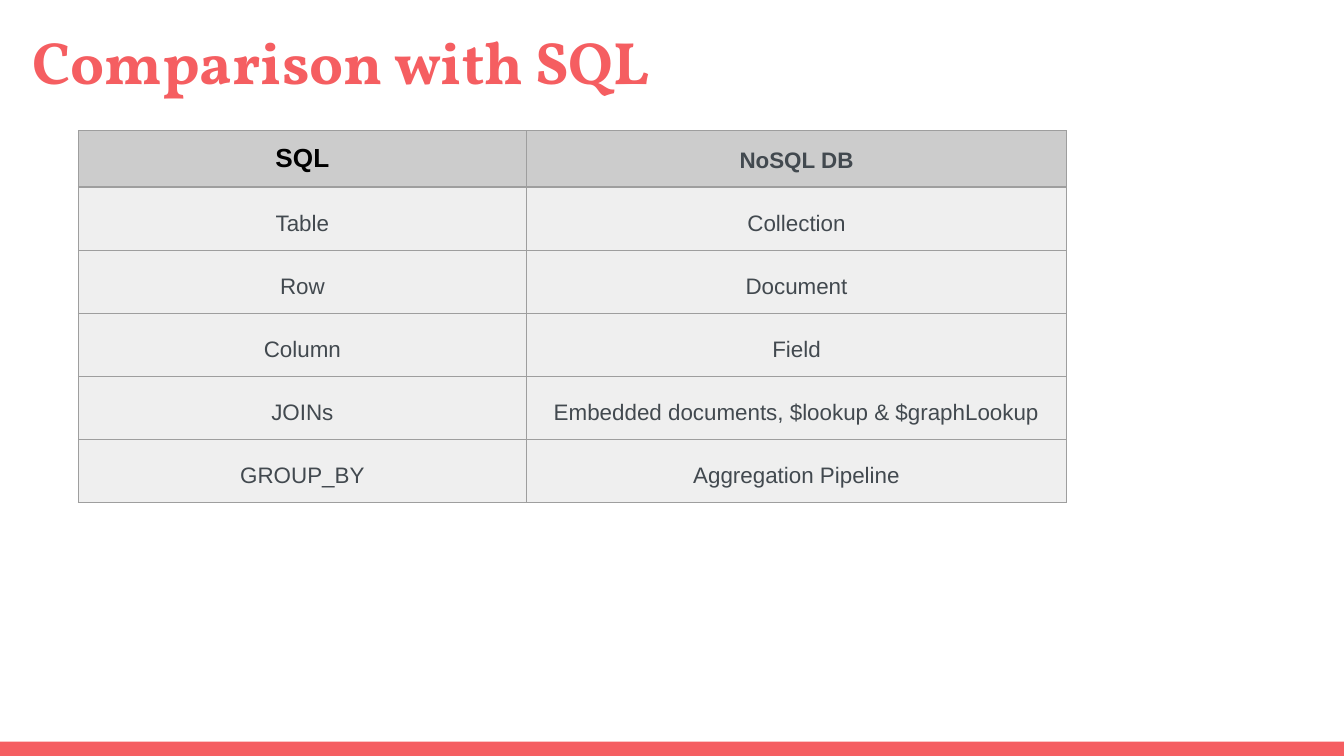
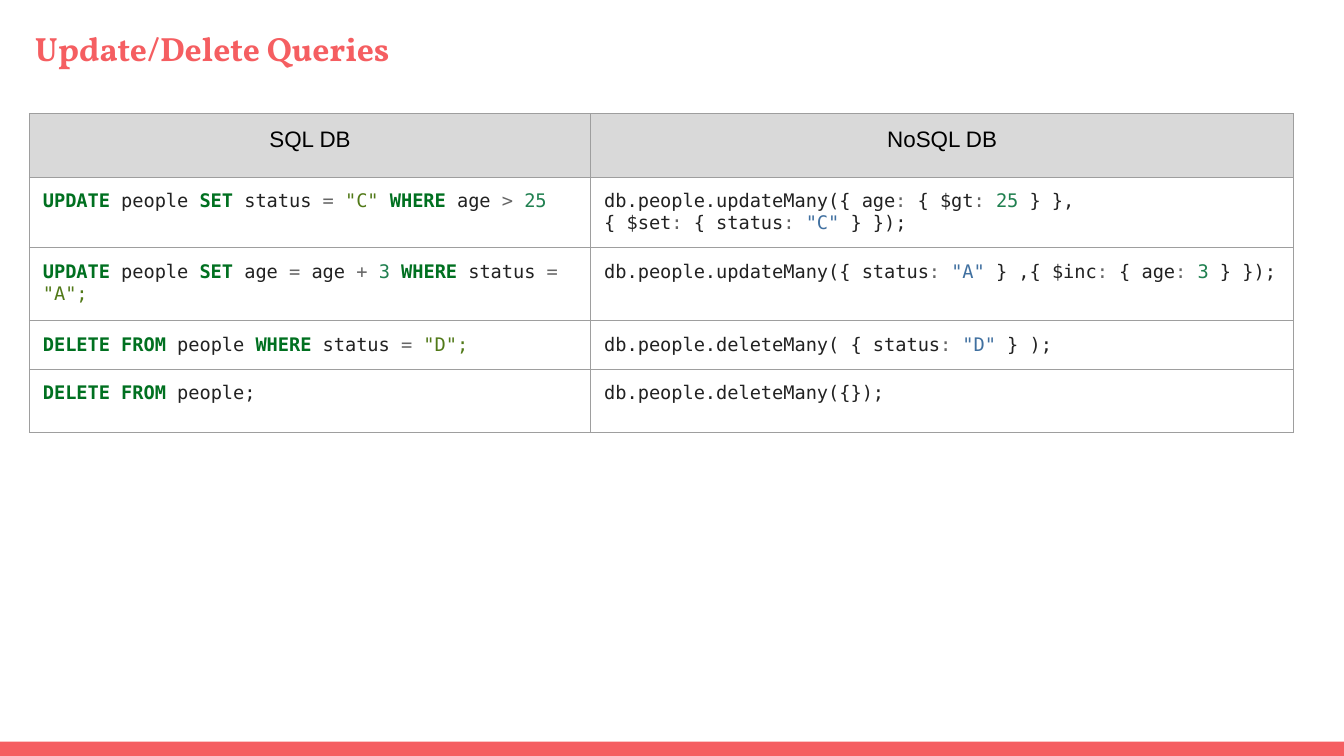
import itertools

import pptx
import pptx.dml.color
import pptx.enum.shapes
import pptx.enum.text
import pptx.oxml
import pptx.oxml.ns
import pptx.util

Pt = pptx.util.Pt
ALIGN = pptx.enum.text.PP_ALIGN
WIDTH, HEIGHT = 720, 405
INSET = 7.2
ACCENT = "F55E61"
GRID = "9E9E9E"
BLACK = "000000"
SLATE = "42494F"
CODE_COLOR = "222222"
KEYWORD_COLOR = "007020"
OPERATOR_COLOR = "666666"
NUMBER_COLOR = "208050"
SQL_STRING = "517918"
SHELL_STRING = "4070A0"
KEYWORDS = {"UPDATE", "SET", "WHERE", "DELETE", "FROM"}
OPERATORS = {"=", ">", "+", ":"}

TERMS = [
    ("Table", "Collection"),
    ("Row", "Document"),
    ("Column", "Field"),
    ("JOINs", "Embedded documents, $lookup & $graphLookup"),
    ("GROUP_BY", "Aggregation Pipeline"),
]

QUERIES = [
    ('UPDATE people SET status = "C" WHERE age > 25',
     'db.people.updateMany({ age: { $gt: 25 } },\n{ $set: { status: "C" } });'),
    ('UPDATE people SET age = age + 3 WHERE status = "A";',
     'db.people.updateMany({ status: "A" } ,{ $inc: { age: 3 } });'),
    ('DELETE FROM people WHERE status = "D";',
     'db.people.deleteMany( { status: "D" } );'),
    ("DELETE FROM people;", "db.people.deleteMany({});"),
]


def rgb(color):
    return pptx.dml.color.RGBColor.from_string(color)


def add_run(paragraph, text, font, size, color, bold=False):
    run = paragraph.add_run()
    run.text = text
    run.font.name = font
    run.font.size = Pt(size)
    run.font.bold = bold
    run.font.color.rgb = rgb(color)


def set_insets(frame):
    frame.margin_left = frame.margin_right = Pt(INSET)
    frame.margin_top = frame.margin_bottom = Pt(INSET)


def add_footer_band(slide, left, top, width, height):
    shape = slide.shapes.add_shape(
        pptx.enum.shapes.MSO_SHAPE.RECTANGLE, Pt(left), Pt(top), Pt(width), Pt(height))
    shape.shadow.inherit = False
    shape.fill.solid()
    shape.fill.fore_color.rgb = rgb(ACCENT)
    shape.line.fill.background()


def set_title(slide, text, left, top, size):
    title = slide.shapes.title
    title.left, title.top, title.width, title.height = Pt(left), Pt(top), Pt(671), Pt(49)
    frame = title.text_frame
    frame.word_wrap = True
    frame.auto_size = pptx.enum.text.MSO_AUTO_SIZE.NONE
    frame.vertical_anchor = pptx.enum.text.MSO_ANCHOR.TOP
    set_insets(frame)
    paragraph = frame.paragraphs[0]
    paragraph.alignment = ALIGN.LEFT
    add_run(paragraph, text, "Vollkorn", size, ACCENT, True)


def add_titled_slide(presentation, text, left, top, size):
    slide = presentation.slides.add_slide(presentation.slide_layouts[5])
    slide.background.fill.solid()
    slide.background.fill.fore_color.rgb = rgb("FFFFFF")
    add_footer_band(slide, 0, HEIGHT - 7.7, WIDTH, 7.7)
    set_title(slide, text, left, top, size)
    return slide


def add_grid(slide, left, top, widths, heights):
    table = slide.shapes.add_table(
        len(heights), len(widths), Pt(left), Pt(top), Pt(sum(widths)), Pt(sum(heights))).table
    table.first_row = table.horz_banding = False
    for column, width in zip(table.columns, widths):
        column.width = Pt(width)
    for row, height in zip(table.rows, heights):
        row.height = Pt(height)
    for cell in table.iter_cells():
        set_insets(cell)
        properties = cell._tc.get_or_add_tcPr()
        for side in ("lnL", "lnR", "lnT", "lnB"):
            properties.append(pptx.oxml.parse_xml(
                f'<a:{side} {pptx.oxml.ns.nsdecls("a")} w="{Pt(0.75)}"><a:solidFill>'
                f'<a:srgbClr val="{GRID}"/></a:solidFill></a:{side}>'))
    return table


def fill_cell(cell, color=None):
    if color:
        cell.fill.solid()
        cell.fill.fore_color.rgb = rgb(color)
    else:
        cell.fill.background()


def write_label(cell, text, size, color, fill, bold=False, spacing=None):
    fill_cell(cell, fill)
    paragraph = cell.text_frame.paragraphs[0]
    paragraph.alignment = ALIGN.CENTER
    paragraph.line_spacing = spacing
    add_run(paragraph, text, "Arial", size, color, bold)


def token_color(token, string_color):
    if token in KEYWORDS:
        return KEYWORD_COLOR
    if token in OPERATORS:
        return OPERATOR_COLOR
    if token.isdigit():
        return NUMBER_COLOR
    return string_color if token.startswith('"') else CODE_COLOR


def split_tokens(line):
    for index, word in enumerate(line.split(" ")):
        if index:
            yield " "
        if word.endswith(":"):
            yield word[:-1]
            yield ":"
        else:
            yield word


def write_code(cell, code, string_color):
    fill_cell(cell)
    frame = cell.text_frame
    for index, line in enumerate(code.split("\n")):
        paragraph = frame.add_paragraph() if index else frame.paragraphs[0]
        paragraph.alignment = ALIGN.LEFT
        colored = itertools.groupby(
            split_tokens(line), lambda token: token_color(token, string_color))
        for color, tokens in colored:
            add_run(paragraph, "".join(tokens), "DejaVu Sans Mono", 10, color,
                    color == KEYWORD_COLOR)


def add_term_table(slide, left, top):
    table = add_grid(slide, left, top, [240, 289.5], [30.25] * (len(TERMS) + 1))
    write_label(table.cell(0, 0), "SQL", 14, BLACK, "CCCCCC", True)
    write_label(table.cell(0, 1), "NoSQL DB", 12, SLATE, "CCCCCC", True, 1.15)
    for row, terms in enumerate(TERMS, 1):
        for column, term in enumerate(terms):
            write_label(table.cell(row, column), term, 12, SLATE, "EFEFEF", spacing=1.44)


def add_query_table(slide, left, top):
    table = add_grid(slide, left, top, [300.75, 376.5], [34, 37.5, 39, 26, 34])
    for column, heading in enumerate(("SQL DB", "NoSQL DB")):
        write_label(table.cell(0, column), heading, 12, BLACK, "D9D9D9")
    for row, (statement, call) in enumerate(QUERIES, 1):
        write_code(table.cell(row, 0), statement, SQL_STRING)
        write_code(table.cell(row, 1), call, SHELL_STRING)


def main():
    presentation = pptx.Presentation()
    presentation.slide_width, presentation.slide_height = Pt(WIDTH), Pt(HEIGHT)
    slide = add_titled_slide(presentation, "Comparison with SQL", 10, 6, 32)
    add_term_table(slide, 42, 70)
    slide = add_titled_slide(presentation, "Update/Delete Queries", 11.5, 8, 18)
    add_query_table(slide, 15.75, 61)
    presentation.save("out.pptx")


if __name__ == "__main__":
    main()
